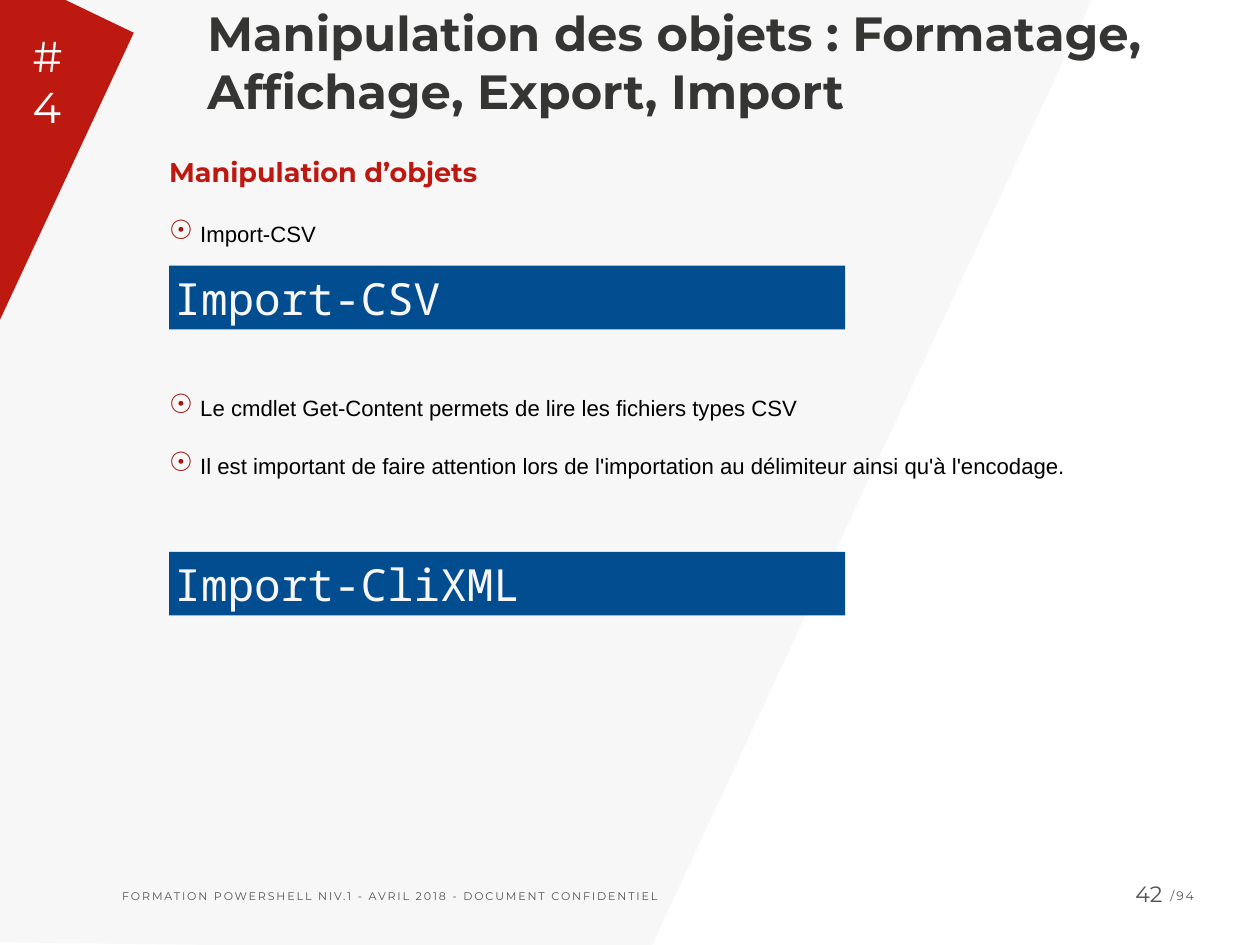
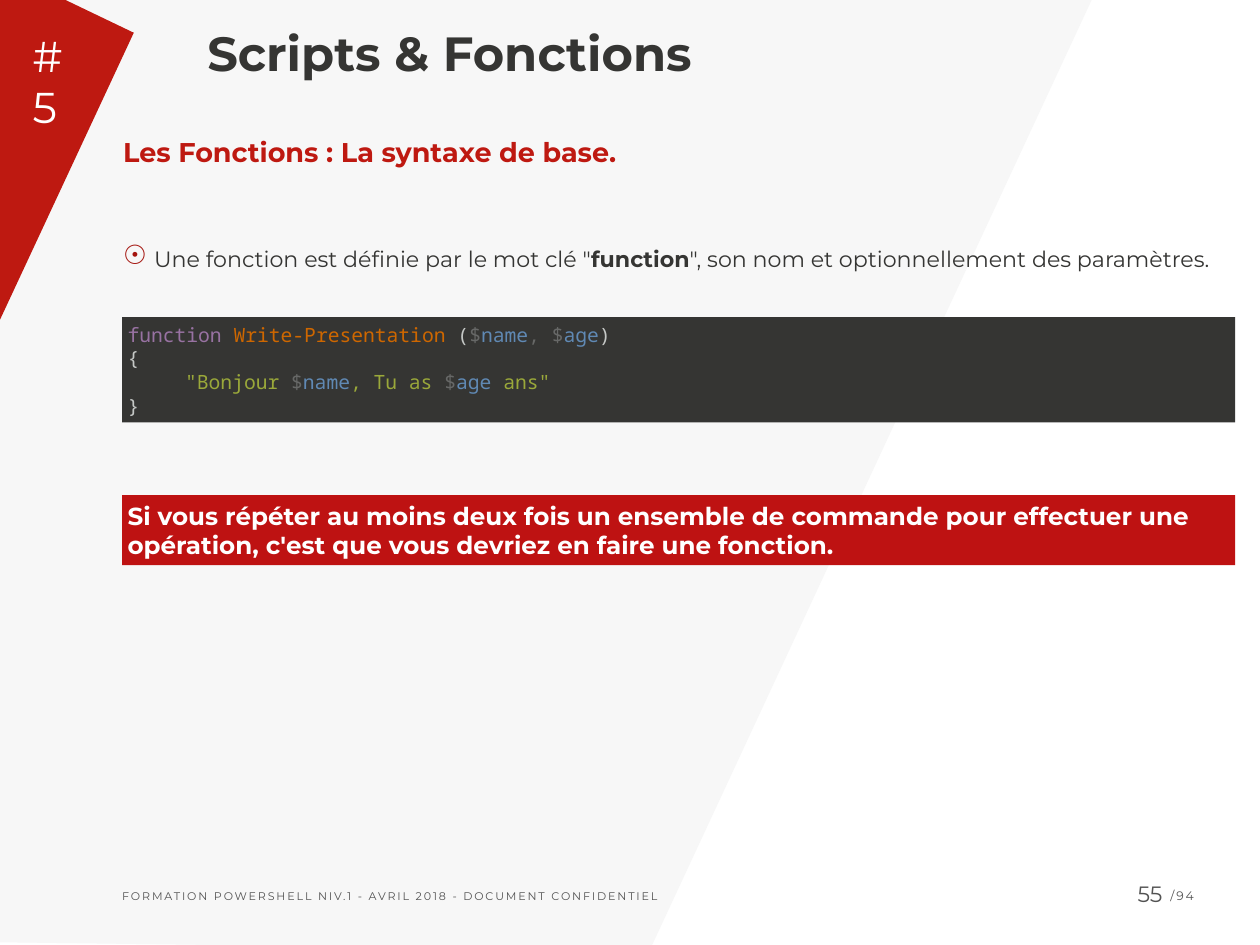
from lxml import etree
from pptx import Presentation
from pptx.dml.color import RGBColor
from pptx.enum.shapes import MSO_SHAPE
from pptx.enum.text import MSO_ANCHOR, PP_ALIGN
from pptx.oxml.ns import qn
from pptx.util import Inches, Pt

RECTANGLE = MSO_SHAPE.RECTANGLE
TOP, MIDDLE, BOTTOM = MSO_ANCHOR.TOP, MSO_ANCHOR.MIDDLE, MSO_ANCHOR.BOTTOM
LEFT, RIGHT = PP_ALIGN.LEFT, PP_ALIGN.RIGHT

WIDTH, HEIGHT = 14.22, 10.67
INSET = 0.06
SANS, MONO, BODY = "Montserrat", "Noto Sans Mono", "Arial"
WHITE, BLACK, PALE, GREY, DARK = "FFFFFF", "000000", "F7F7F7", "535353", "353533"
RED, BULLET_RED, NOTICE_RED, BLUE = "BE1911", "A4140E", "BE1212", "024C90"
KEYWORD, COMMAND, PUNCTUATION = "9872A2", "CE6700", "C5C8C6"
SIGIL, VARIABLE, STRING = "676867", "6089B4", "9AA83A"

BACKDROP = [(0, 0), (12.32, 0), (7.36, HEIGHT), (2.4, HEIGHT), (0, 10.64)]
CORNER = [(0, 0), (0.74, 0), (1.51, 0.37), (0, 3.61)]
FOOTER = "FORMATION POWERSHELL NIV.1 - AVRIL 2018 - DOCUMENT CONFIDENTIEL"
PAGE_TOTAL = "/94"

FUNCTION_CODE = [
    [("function ", KEYWORD), ("Write-Presentation", COMMAND), (" (", PUNCTUATION),
     ("$", SIGIL), ("name", VARIABLE), (", $", SIGIL), ("age", VARIABLE),
     (")", PUNCTUATION)],
    [("{", PUNCTUATION)],
    [("\t\"Bonjour ", STRING), ("$", SIGIL), ("name", VARIABLE),
     (", Tu as ", STRING), ("$", SIGIL), ("age ", VARIABLE), ("ans\"", STRING)],
    [("}", PUNCTUATION)],
]


def rgb(value):
    return RGBColor.from_string(value)


def paint(shape, color):
    shape.fill.solid()
    shape.fill.fore_color.rgb = rgb(color)
    shape.line.fill.background()
    shape.shadow.inherit = False


def style(run, size, color, font=SANS, bold=False, tracking=0):
    run.font.size = Pt(size)
    run.font.name = font
    run.font.bold = bold
    run.font.color.rgb = rgb(color)
    if tracking:
        run.font._element.set("spc", str(int(tracking * 100)))


def set_frame(shape, inset=INSET, anchor=TOP):
    frame = shape.text_frame
    frame.word_wrap = True
    frame.vertical_anchor = anchor
    frame.margin_left = frame.margin_right = Inches(inset)
    frame.margin_top = frame.margin_bottom = Inches(inset)
    return frame


def add_frame(slide, box, inset=INSET, anchor=TOP):
    return set_frame(slide.shapes.add_textbox(*map(Inches, box)), inset, anchor)


def add_label(slide, box, text, size, color, bold=False, tracking=0,
              anchor=TOP, align=LEFT):
    frame = add_frame(slide, box, anchor=anchor)
    frame.text = text
    frame.paragraphs[0].alignment = align
    style(frame.paragraphs[0].runs[0], size, color, bold=bold, tracking=tracking)


def add_outline(slide, points, color):
    corners = [(Inches(x), Inches(y)) for x, y in points]
    builder = slide.shapes.build_freeform(*corners[0])
    builder.add_line_segments(corners[1:], close=True)
    paint(builder.convert_to_shape(), color)


def add_panel(slide, box, color):
    panel = slide.shapes.add_shape(RECTANGLE, *map(Inches, box))
    paint(panel, color)
    return set_frame(panel, anchor=MIDDLE)


def add_banner(slide, box, text, fill, size, color, font=SANS, bold=False):
    frame = add_panel(slide, box, fill)
    frame.text = text
    frame.paragraphs[0].alignment = LEFT
    style(frame.paragraphs[0].runs[0], size, color, font, bold)


def add_code(slide, box, lines):
    frame = add_panel(slide, box, DARK)
    for index, pieces in enumerate(lines):
        line = frame.add_paragraph() if index else frame.paragraphs[0]
        stops = etree.SubElement(line._p.get_or_add_pPr(), qn("a:tabLst"))
        etree.SubElement(stops, qn("a:tab"), pos=str(Inches(0.65)), algn="l")
        line.alignment = LEFT
        for text, color in pieces:
            run = line.add_run()
            run.text = text
            style(run, 16, color, MONO)


def set_bullet(paragraph):
    properties = paragraph._p.get_or_add_pPr()
    properties.set("marL", str(Inches(0.35)))
    properties.set("indent", str(-Inches(0.35)))
    tint = etree.SubElement(properties, qn("a:buClr"))
    etree.SubElement(tint, qn("a:srgbClr"), val=BULLET_RED)
    etree.SubElement(properties, qn("a:buSzPct"), val="120000")
    etree.SubElement(properties, qn("a:buChar"), char="☉")


def add_body(slide, box, heading, bullets, color, font):
    frame = add_frame(slide, box, inset=0)
    frame.text = heading
    style(frame.paragraphs[0].runs[0], 22, RED, bold=True)
    for space, pieces in bullets:
        bullet = frame.add_paragraph()
        set_bullet(bullet)
        bullet.line_spacing = 1.5
        bullet.space_before = Pt(space)
        for text, bold in pieces:
            run = bullet.add_run()
            run.text = text
            style(run, 18, color, font, bold)


def add_base(deck, chapter, title, title_top, page):
    slide = deck.slides.add_slide(deck.slide_layouts[6])
    add_outline(slide, BACKDROP, PALE)
    add_outline(slide, CORNER, RED)
    add_label(slide, (1.32, 9.98, 10.44, 0.26), FOOTER, 9, GREY, tracking=1.5)
    add_label(slide, (13.15, 9.97, 0.79, 0.28), PAGE_TOTAL, 10, GREY, tracking=1.5)
    add_label(slide, (12.38, 9.88, 0.8, 0.37), page, 18, GREY, align=RIGHT)
    add_label(slide, (2.28, title_top, 11.94, 1.63), title, 39, DARK, bold=True,
              anchor=BOTTOM)
    add_label(slide, (0.31, 0.27, 0.6, 1.3), chapter, 35, WHITE)
    return slide


def build_import_slide(deck):
    slide = add_base(deck, "#4",
                     "Manipulation des objets : Formatage, Affichage, Export, Import",
                     -0.23, "42")
    left, top = 1.91, 1.76
    add_body(slide, (left, top, 11.39, 7.53), "Manipulation d’objets", [
        (15, [("Import-CSV", False)]),
        (109, [("Le cmdlet Get-Content permets de lire les fichiers types CSV", False)]),
        (15, [("Il est important de faire attention lors de l'importation au "
               "délimiteur ainsi qu'à l'encodage.", False)]),
    ], BLACK, BODY)
    for offset, command in ((1.24, "Import-CSV"), (4.47, "Import-CliXML")):
        add_banner(slide, (left, top + offset, 7.63, 0.72), command, BLUE, 36,
                   PALE, MONO)


def build_function_slide(deck):
    slide = add_base(deck, "#5", "Scripts & Fonctions", -0.65, "55")
    left, top, width = 1.38, 1.53, 12.56
    add_body(slide, (left + 0.01, top, width, 7.53),
             "Les Fonctions : La syntaxe de base.", [
                 (52, [("Une fonction est définie par le mot clé \"", False),
                       ("function", True),
                       ("\", son nom et optionnellement des paramètres.", False)]),
             ], DARK, SANS)
    add_code(slide, (left, top + 2.05, width, 1.19), FUNCTION_CODE)
    add_banner(slide, (left, top + 4.06, width, 0.79),
               "Si vous répéter au moins deux fois un ensemble de commande pour "
               "effectuer une opération, c'est que vous devriez en faire une fonction.",
               NOTICE_RED, 20, WHITE, bold=True)


def main():
    deck = Presentation()
    deck.slide_width, deck.slide_height = Inches(WIDTH), Inches(HEIGHT)
    build_import_slide(deck)
    build_function_slide(deck)
    deck.save("out.pptx")


if __name__ == "__main__":
    main()
